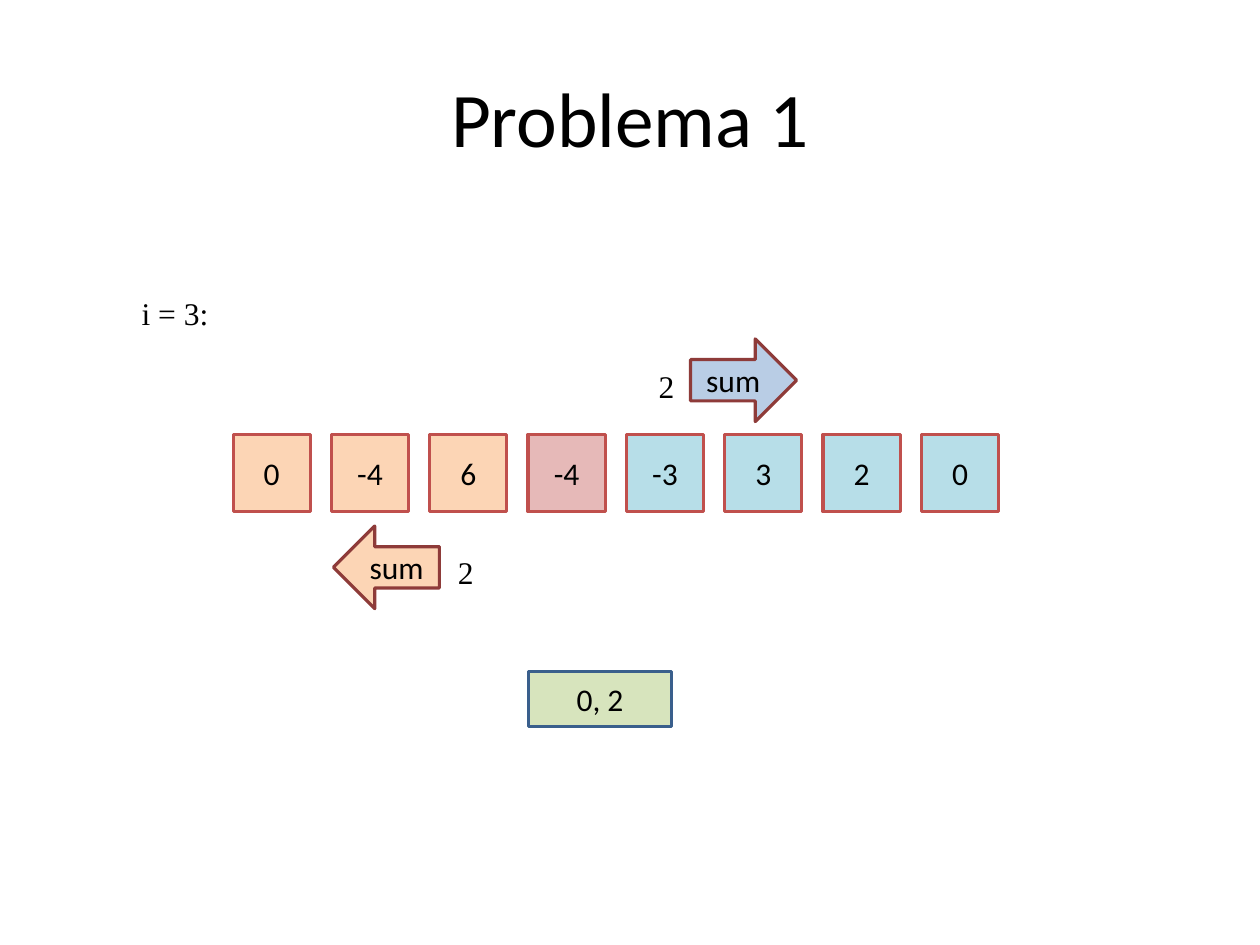
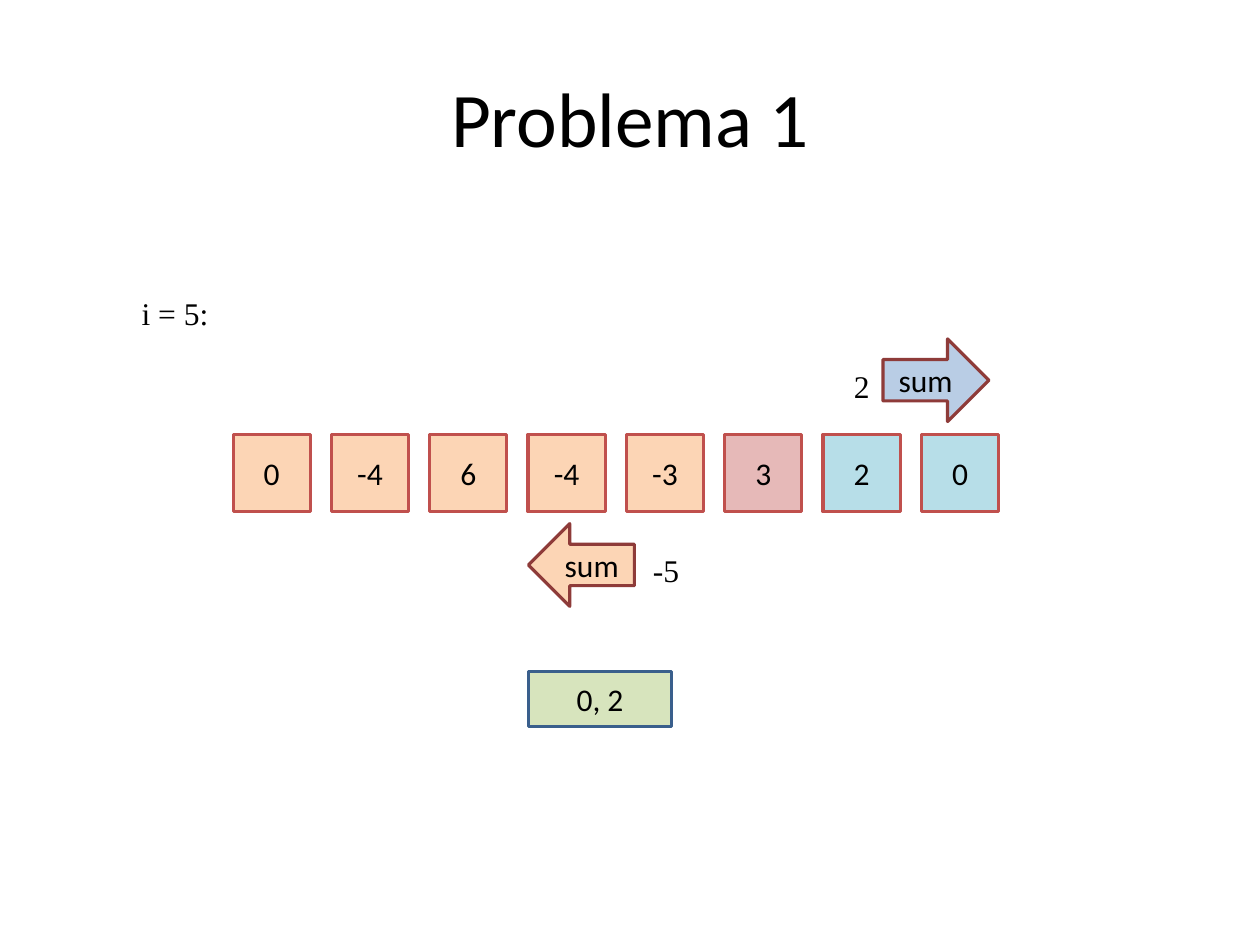
from pptx import Presentation
from pptx.dml.color import RGBColor as Rgb
from pptx.enum.shapes import MSO_SHAPE as Kind
from pptx.enum.text import MSO_ANCHOR as Anchor, MSO_AUTO_SIZE as Fit, PP_ALIGN as Align
from pptx.util import Pt

BLACK = Rgb(0x00, 0x00, 0x00)
PEACH = Rgb(0xFC, 0xD5, 0xB5)
ROSE = Rgb(0xE6, 0xB9, 0xB8)
AQUA = Rgb(0xB7, 0xDE, 0xE8)
BLUE = Rgb(0xB9, 0xCD, 0xE5)
GREEN = Rgb(0xD7, 0xE4, 0xBD)
RED = Rgb(0xC0, 0x50, 0x4D)
MAROON = Rgb(0x8E, 0x3B, 0x39)
NAVY = Rgb(0x3A, 0x5F, 0x8C)

SANS = "Calibri"
SERIF = "Times New Roman"
VALUES = (0, -4, 6, -4, -3, 3, 2, 0)


def write(shape, text, size=20, font=SANS, color=BLACK,
          align=Align.CENTER, anchor=Anchor.MIDDLE, wrap=True):
    frame = shape.text_frame
    frame.word_wrap = wrap
    frame.vertical_anchor = anchor
    line = frame.paragraphs[0]
    line.alignment = align
    run = line.add_run()
    run.text = text
    run.font.size = Pt(size)
    run.font.name = font
    run.font.color.rgb = color
    return frame


class Deck:
    def __init__(self, width, height):
        self.show = Presentation()
        self.show.slide_width = Pt(width)
        self.show.slide_height = Pt(height)
        self.slide = None

    def page(self, title):
        self.slide = self.show.slides.add_slide(self.show.slide_layouts[6])
        box = self.slide.shapes.add_textbox(Pt(40), Pt(24), Pt(720), Pt(100))
        write(box, title, size=49)

    def label(self, text, left, top, width):
        box = self.slide.shapes.add_textbox(Pt(left), Pt(top), Pt(width), Pt(31.5))
        frame = write(box, text, font=SERIF, align=Align.LEFT,
                      anchor=Anchor.TOP, wrap=False)
        frame.auto_size = Fit.SHAPE_TO_FIT_TEXT

    def shape(self, kind, text, left, top, width, height, fill, edge):
        item = self.slide.shapes.add_shape(kind, Pt(left), Pt(top), Pt(width), Pt(height))
        item.shadow.inherit = False
        item.fill.solid()
        item.fill.fore_color.rgb = fill
        item.line.color.rgb = edge
        item.line.width = Pt(2)
        write(item, text)

    def cells(self, pivot):
        for spot, value in enumerate(VALUES):
            fill = PEACH if spot < pivot else ROSE if spot == pivot else AQUA
            self.shape(Kind.RECTANGLE, str(value), 148 + 62.43 * spot, 275.8,
                       49, 49, fill, RED)

    def arrow(self, kind, left, top, fill):
        self.shape(kind, "sum", left, top, 67.3, 52.5, fill, MAROON)

    def right(self, total, left, gap):
        self.arrow(Kind.RIGHT_ARROW, left, 215.2, BLUE)
        self.label(total, left - gap, 229.5, 24.5)

    def left(self, total, left, top, width):
        self.arrow(Kind.LEFT_ARROW, left, top, PEACH)
        self.label(total, left + 72, top + 13.7, width)

    def result(self, text):
        self.shape(Kind.RECTANGLE, text, 335.5, 426.2, 91, 35.2, GREEN, NAVY)


deck = Deck(800, 600)
STEPS = (
    (3, ("2", 438.5, 27.4), ("2", 211.7, 334, 24.5)),
    (5, ("2", 560.6, 25.6), ("-5", 335.5, 332.5, 31.7)),
)
for pivot, right, left in STEPS:
    deck.page("Problema 1")
    deck.cells(pivot)
    deck.label(f"i = {pivot}:", 82.8, 182.9, 57)
    deck.right(*right)
    deck.left(*left)
    deck.result("0, 2")
deck.show.save("out.pptx")
